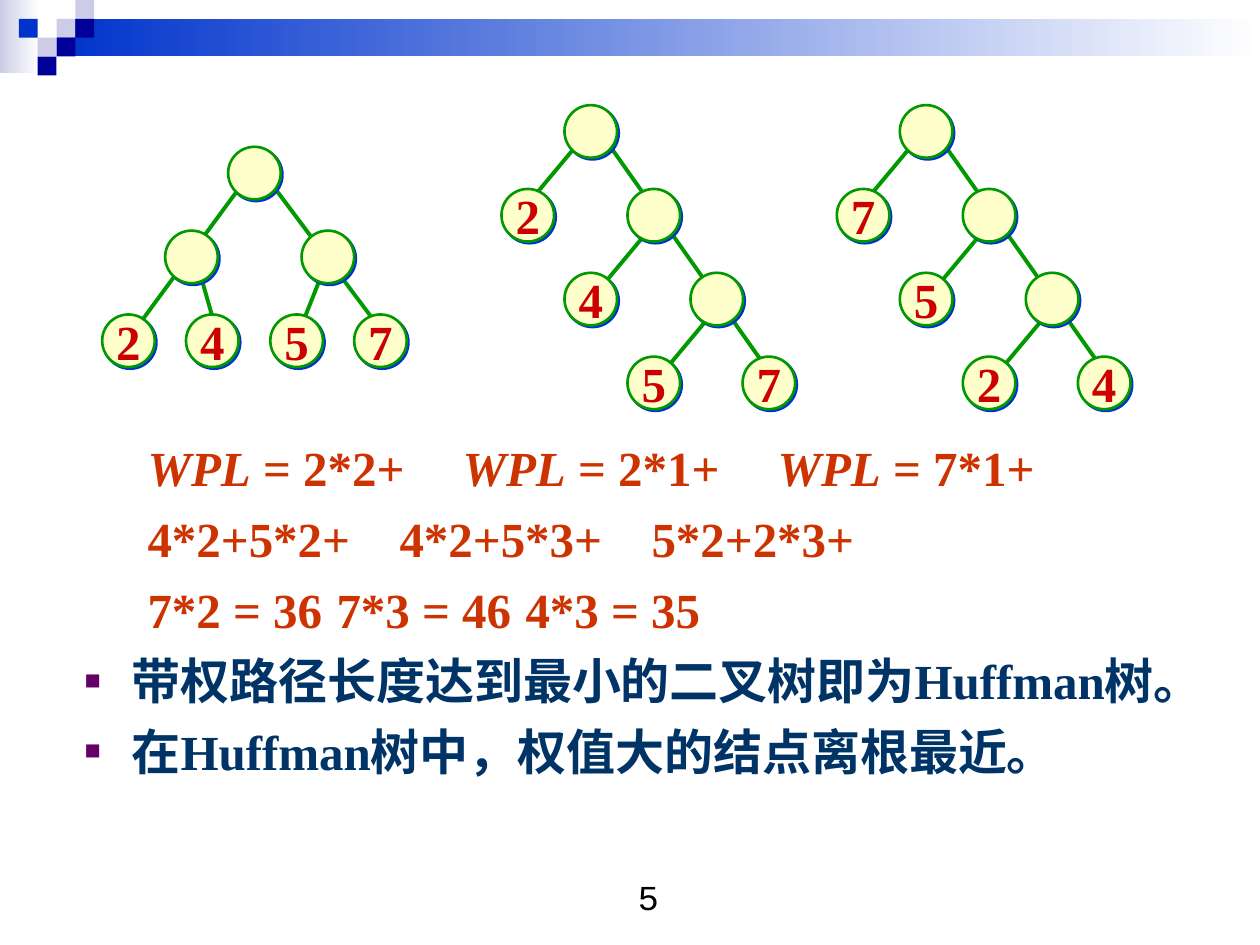
"""Build a slide that compares the weighted path lengths of three binary trees."""
import dataclasses

import pptx
import pptx.dml.color
import pptx.enum.shapes
import pptx.enum.text
import pptx.oxml
import pptx.oxml.ns
import pptx.util

Cm = pptx.util.Cm
Pt = pptx.util.Pt
NS = pptx.oxml.ns.nsdecls("a")


@dataclasses.dataclass(frozen=True)
class Theme:
    """Hold the colours, typefaces and type sizes."""
    pale: str = "CCCCE6"
    blue: str = "0033CC"
    navy: str = "000099"
    white: str = "FFFFFF"
    black: str = "000000"
    node: str = "FFFFCC"
    branch: str = "009900"
    weight: str = "CC0000"
    formula: str = "CC3300"
    statement: str = "003366"
    bullet: str = "660066"
    serif: str = "Times New Roman"
    mono: str = "Courier New"
    body_size: int = 28
    number_size: int = 20


THEME = Theme()
SQUARE = 0.38
NODE = 1.06
STEP_X, STEP_Y = 1.27, 1.69
SQUARES = [
    (3, 1, THEME.pale), (4, 0, THEME.pale), (4, 1, THEME.navy), (2, 2, THEME.pale),
    (1, 1, THEME.blue), (3, 2, THEME.navy), (2, 3, THEME.navy),
]
BALANCED_EDGES = [
    (0.63, 0.42, 3.17, 3.81), (1.9, 2.54, 1.48, 3.6),
    (-0.63, 2.33, -0.21, 3.81), (0.21, 0.85, -2.12, 4.02),
]
BALANCED_NODES = [
    (0, 0, ""), (-STEP_X, STEP_Y, ""), (1.48, STEP_Y, ""),
    (-2.54, 2 * STEP_Y, "2"), (-0.85, 2 * STEP_Y, "4"),
    (0.85, 2 * STEP_Y, "5"), (2.54, 2 * STEP_Y, "7"),
]
FORMULAS = [
    ["WPL", " = 2*2+", "WPL", " = 2*1+", "WPL", " = 7*1+"],
    ["4*2+5*2+", "4*2+5*3+", "5*2+2*3+"],
    ["7*2 = 36", "7*3 = 46", "4*3 = 35"],
]
FORMULA_CENTRES = [(3.75, 11.15, 18.3), (3.75, 11.3, 18.35), (3.72, 10.97, 18.18)]
STATEMENTS = ["带权路径长度达到最小的二叉树即为Huffman树。", "在Huffman树中，权值大的结点离根最近。"]


def rgb(code):
    """Return the colour for a hex code."""
    return pptx.dml.color.RGBColor.from_string(code)


def add_run(paragraph, text, colour, size=THEME.body_size, face=THEME.serif, bold=True, italic=False):
    """Append one formatted run."""
    run = paragraph.add_run()
    run.text = text
    run.font.name, run.font.size = face, Pt(size)
    run.font.bold, run.font.italic = bold, italic
    run.font.color.rgb = rgb(colour)


def add_block(slide, left, top, width, height, colour, fade_to=None):
    """Add a borderless rectangle, flat or fading to the right."""
    block = slide.shapes.add_shape(
        pptx.enum.shapes.MSO_SHAPE.RECTANGLE, Cm(left), Cm(top), Cm(width), Cm(height))
    block.shadow.inherit = False
    block.line.fill.background()
    if fade_to:
        block.fill.gradient()
        block.fill.gradient_angle = 0
        for stop, code in zip(block.fill.gradient_stops, (colour, fade_to)):
            stop.color.rgb = rgb(code)
    else:
        block.fill.solid()
        block.fill.fore_color.rgb = rgb(colour)


def add_header(slide):
    """Add the fading bands and the stepped squares."""
    add_block(slide, 0, 0, 0.79, 1.47, THEME.pale, THEME.white)
    add_block(slide, 1.14, SQUARE, 24.26, 0.76, THEME.blue, THEME.white)
    for column, row, colour in SQUARES:
        add_block(slide, column * SQUARE, row * SQUARE, SQUARE, SQUARE, colour)


def add_edge(slide, x1, y1, x2, y2):
    """Add one branch of a tree."""
    edge = slide.shapes.add_connector(
        pptx.enum.shapes.MSO_CONNECTOR.STRAIGHT, Cm(x1), Cm(y1), Cm(x2), Cm(y2))
    edge.line.color.rgb = rgb(THEME.branch)
    edge.line.width = Pt(2.25)
    edge._element.spPr.append(pptx.oxml.parse_xml(f"<a:effectLst {NS}/>"))


def add_node(slide, left, top, weight):
    """Add a shadowed tree node with its weight, if any."""
    node = slide.shapes.add_shape(
        pptx.enum.shapes.MSO_SHAPE.OVAL, Cm(left), Cm(top), Cm(NODE), Cm(NODE))
    node.fill.solid()
    node.fill.fore_color.rgb = rgb(THEME.node)
    node.line.color.rgb = rgb(THEME.branch)
    node.line.width = Pt(1.5)
    node._element.spPr.append(pptx.oxml.parse_xml(
        f'<a:effectLst {NS}><a:outerShdw dist="{Pt(1.4)}" dir="2700000" algn="ctr" rotWithShape="0">'
        f'<a:srgbClr val="{THEME.blue}"/></a:outerShdw></a:effectLst>'))
    if weight:
        frame = node.text_frame
        frame.margin_left = frame.margin_right = frame.margin_top = frame.margin_bottom = 0
        frame.word_wrap = False
        frame.vertical_anchor = pptx.enum.text.MSO_ANCHOR.MIDDLE
        frame.paragraphs[0].alignment = pptx.enum.text.PP_ALIGN.CENTER
        add_run(frame.paragraphs[0], weight, THEME.weight)


def add_tree(slide, left, top, edges, nodes):
    """Add a tree whose parts are placed from its root."""
    for x1, y1, x2, y2 in edges:
        add_edge(slide, left + x1, top + y1, left + x2, top + y2)
    for x, y, weight in nodes:
        add_node(slide, left + x, top + y, weight)


def add_skewed_tree(slide, left, top, weights):
    """Add a tree that descends to the right, with weights from top to bottom."""
    edges = [(0.63, 0.42, 4.22, 5.51)]
    nodes = []
    for level, edge_start in enumerate((0.21, 1.68, 2.95)):
        x, y = level * STEP_X, level * STEP_Y
        edges.append((edge_start, y + 0.85, edge_start - 1.06, y + 2.12))
        nodes += [(x, y, ""), (x - STEP_X, y + STEP_Y, weights[level])]
    nodes.append((3.59, 3 * STEP_Y, weights[3]))
    add_tree(slide, left, top, edges, nodes)


def set_layout(paragraph, properties, margin=0, space_before=5.2):
    """Set the bullet or tab elements, indent and spacing of a paragraph."""
    settings = paragraph._p.get_or_add_pPr()
    settings.set("marL", str(Cm(margin)))
    settings.set("indent", str(-Cm(margin)))
    for element in list(pptx.oxml.parse_xml(f"<a:pPr {NS}>{properties}</a:pPr>")):
        settings.append(element)
    paragraph.line_spacing = 1.05
    paragraph.space_before = Pt(space_before)


def fill_body(body):
    """Write the path length formulas and the two statements."""
    body.left, body.top, body.width, body.height = Cm(1.45), Cm(8.64), Cm(22.2), Cm(8.89)
    frame = body.text_frame
    frame.auto_size = pptx.enum.text.MSO_AUTO_SIZE.NONE
    frame.word_wrap = True
    for index, (pieces, centres) in enumerate(zip(FORMULAS, FORMULA_CENTRES)):
        line = frame.add_paragraph() if index else frame.paragraphs[0]
        stops = "".join(f'<a:tab pos="{Cm(centre)}" algn="ctr"/>' for centre in centres)
        set_layout(line, f"<a:buNone/><a:tabLst>{stops}</a:tabLst>", space_before=5.2 if index else 0)
        for piece in pieces:
            tab = "" if piece.startswith(" ") else "\t"
            add_run(line, tab + piece, THEME.formula, italic=piece == "WPL")
    bullet = (f'<a:buClr><a:srgbClr val="{THEME.bullet}"/></a:buClr>'
              '<a:buSzPct val="55000"/><a:buChar char="■"/>')
    for statement in STATEMENTS:
        line = frame.add_paragraph()
        set_layout(line, bullet, margin=0.95)
        add_run(line, statement, THEME.statement)


def add_page_number(slide, number):
    """Add the centred page number."""
    box = slide.shapes.add_textbox(Cm(10.11), Cm(17.53), Cm(5.92), Cm(1.32))
    box.text_frame.word_wrap = True
    line = box.text_frame.paragraphs[0]
    line.alignment = pptx.enum.text.PP_ALIGN.CENTER
    add_run(line, number, THEME.black, THEME.number_size, THEME.mono, bold=False)


def main():
    """Build and save the slide."""
    deck = pptx.Presentation()
    deck.slide_width, deck.slide_height = Cm(25.4), Cm(19.05)
    slide = deck.slides.add_slide(deck.slide_layouts[1])
    title = slide.shapes.title._element
    title.getparent().remove(title)
    add_header(slide)
    add_tree(slide, 4.6, 2.96, BALANCED_EDGES, BALANCED_NODES)
    add_skewed_tree(slide, 11.38, 2.12, "2457")
    add_skewed_tree(slide, 18.14, 2.12, "7524")
    fill_body(slide.placeholders[1])
    add_page_number(slide, "5")
    deck.save("out.pptx")


if __name__ == "__main__":
    main()
